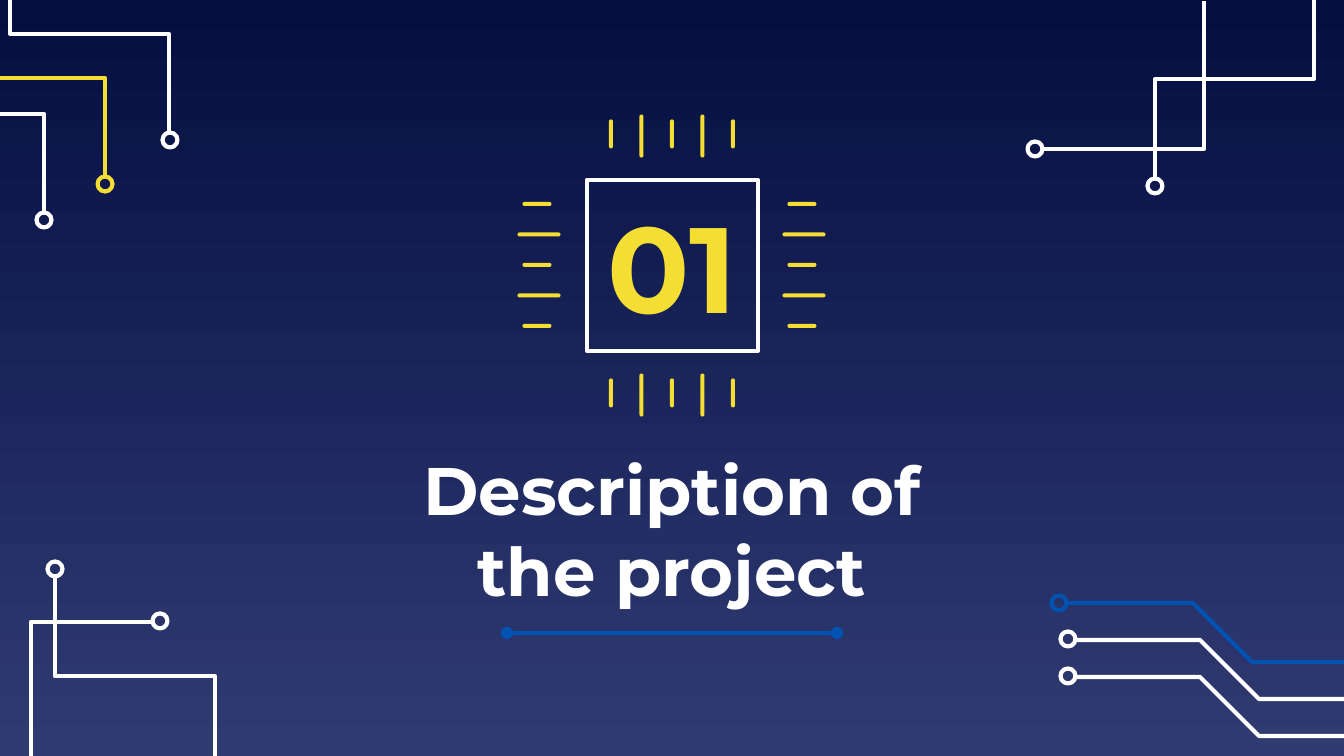
"""Build a section opener slide with a chip emblem and circuit traces."""
from dataclasses import dataclass

import pptx
import pptx.dml.color
import pptx.enum.dml
import pptx.enum.shapes
import pptx.enum.text
import pptx.oxml
import pptx.oxml.ns
import pptx.util

SHAPE = pptx.enum.shapes.MSO_SHAPE


@dataclass(frozen=True)
class Theme:
    top: str = "040E41"
    bottom: str = "303B72"
    white: str = "FFFFFF"
    yellow: str = "F5DE34"
    blue: str = "0152B1"
    font: str = "Montserrat"
    title: int = 36
    number: int = 65
    line: float = 2.25


T = Theme()
WIDTH, HEIGHT = 1344, 756
SCALE = 914400 / 134.4

TITLE = "Description of the project"
TITLE_BOX = (360, 452, 624, 234)
TITLE_INSETS = (13, 0, 13, 80)
NUMBER = "01"
NUMBER_BOX = (587, 180, 171, 171)
NUMBER_INSETS = (13, 13, 13, 13)
DIVIDER = ((507, 633), (837, 633))

RING = 15
TRACES = [
    (T.blue, (1059, 603), [(1068, 603), (1193, 603), (1252, 662), (1351, 662)]),
    (T.white, (1068, 639), [(1075, 640), (1200, 640), (1259, 699), (1356, 699)]),
    (T.white, (1068, 676), [(1075, 677), (1200, 677), (1259, 736), (1356, 736)]),
    (T.white, (55, 569), [(55, 576), (55, 676), (215, 676), (215, 768)]),
    (T.white, (160, 621), [(152, 622), (31, 622), (31, 767)]),
    (T.white, (1035, 149), [(1042, 149), (1204, 149), (1204, 1)]),
    (T.white, (1155, 186), [(1155, 179), (1155, 79), (1314, 79), (1314, -15)]),
    (T.white, (44, 220), [(44, 213), (44, 114), (-116, 114), (-116, 22)]),
    (T.yellow, (105, 184), [(105, 178), (105, 78), (-54, 78), (-54, -15)]),
    (T.white, (170, 140), [(169, 134), (169, 34), (10, 34), (10, -58)]),
]

PIN_COUNT, PIN_SPAN, PIN_WIDTH = 5, 122, 4
PIN_KINDS = [(0, 29), (2, 43)]
PIN_ROWS = [(611, 134), (611, 393)]
PIN_COLUMNS = [(537, 204), (802, 204)]


def px(n):
    return pptx.util.Emu(round(n * SCALE))


def rgb(color):
    return pptx.dml.color.RGBColor.from_string(color)


def outline(sp, color):
    sp.shadow.inherit = False
    sp.fill.background()
    sp.line.color.rgb = rgb(color)
    sp.line.width = pptx.util.Pt(T.line)


def add_centered(shapes, kind, cx, cy, w, h):
    return shapes.add_shape(kind, px(cx - w / 2), px(cy - h / 2), px(w), px(h))


def add_trace(shapes, color, center, points):
    builder = shapes.build_freeform(*points[0], scale=SCALE)
    builder.add_line_segments(points[1:], close=False)
    outline(builder.convert_to_shape(), color)
    outline(add_centered(shapes, SHAPE.OVAL, *center, RING, RING), color)


def add_pin(shapes, cx, cy, w, h):
    sp = add_centered(shapes, SHAPE.ROUNDED_RECTANGLE, cx, cy, w, h)
    sp.adjustments[0] = 0.5
    sp.shadow.inherit = False
    sp.fill.solid()
    sp.fill.fore_color.rgb = rgb(T.yellow)
    sp.line.fill.background()


def add_pins(shapes):
    for i in range(PIN_COUNT):
        step = PIN_SPAN * i / (PIN_COUNT - 1)
        shift, length = PIN_KINDS[i % 2]
        for x, y in PIN_ROWS:
            add_pin(shapes, x + step, y + shift, PIN_WIDTH, length)
        for x, y in PIN_COLUMNS:
            add_pin(shapes, x + shift, y + step, length, PIN_WIDTH)


def set_text(sp, text, size, color, insets):
    tf = sp.text_frame
    tf.word_wrap = True
    tf.vertical_anchor = pptx.enum.text.MSO_ANCHOR.MIDDLE
    tf.margin_left, tf.margin_top, tf.margin_right, tf.margin_bottom = map(px, insets)
    p = tf.paragraphs[0]
    p.text = text
    p.alignment = pptx.enum.text.PP_ALIGN.CENTER
    p.font.name = T.font
    p.font.size = pptx.util.Pt(size)
    p.font.bold = True
    p.font.color.rgb = rgb(color)


def add_divider(shapes):
    start, end = DIVIDER
    line = shapes.add_connector(
        pptx.enum.shapes.MSO_CONNECTOR.STRAIGHT, *map(px, start + end)
    )
    line.line.color.rgb = rgb(T.blue)
    line.line.width = pptx.util.Pt(T.line)
    ln = line.line._get_or_add_ln()
    for tag in ("a:headEnd", "a:tailEnd"):
        end_mark = pptx.oxml.parse_xml(f"<{tag} {pptx.oxml.ns.nsdecls('a')} type='oval'/>")
        ln.append(end_mark)
    effects = pptx.oxml.parse_xml(f"<a:effectLst {pptx.oxml.ns.nsdecls('a')}/>")
    line._element.spPr.append(effects)


def set_background(slide):
    fill = slide.background.fill
    fill.gradient()
    fill.gradient_angle = 270
    for stop, color in zip(fill.gradient_stops, (T.top, T.bottom)):
        stop.color.rgb = rgb(color)


def main():
    prs = pptx.Presentation()
    prs.slide_width, prs.slide_height = px(WIDTH), px(HEIGHT)
    slide = prs.slides.add_slide(prs.slide_layouts[6])
    shapes = slide.shapes
    set_background(slide)
    for trace in TRACES:
        add_trace(shapes, *trace)
    title = shapes.add_textbox(*map(px, TITLE_BOX))
    set_text(title, TITLE, T.title, T.white, TITLE_INSETS)
    chip = shapes.add_shape(SHAPE.RECTANGLE, *map(px, NUMBER_BOX))
    outline(chip, T.white)
    set_text(chip, NUMBER, T.number, T.yellow, NUMBER_INSETS)
    add_divider(shapes)
    add_pins(shapes)
    prs.save("out.pptx")


if __name__ == "__main__":
    main()
